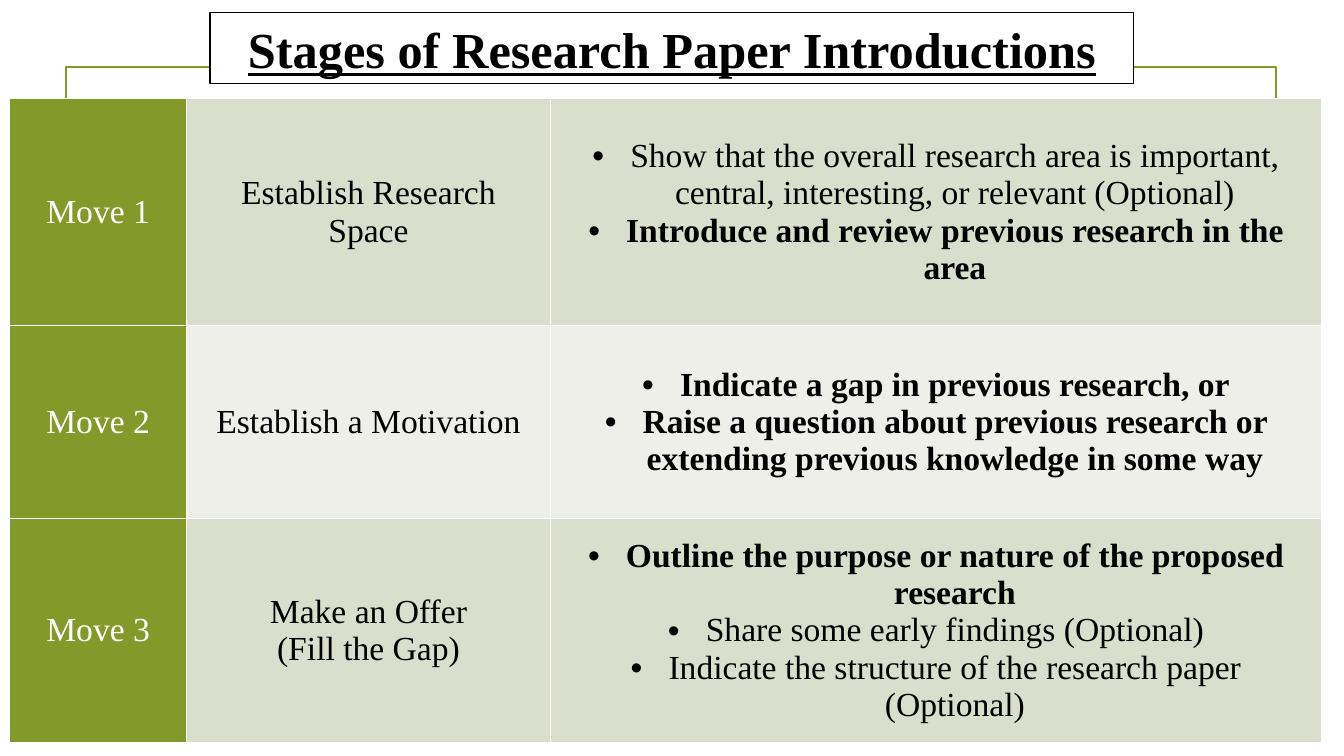
from pptx import Presentation
from pptx import util as u
from pptx.dml.color import RGBColor
from pptx.enum import shapes, text
from pptx.oxml import parse_xml
from pptx.oxml.ns import nsdecls

PX = 9525
FONT = "Times New Roman"
COLORS = {"green": "83992A", "dark": "D9DECD", "light": "EDEFE8",
          "white": "FFFFFF", "black": "000000"}
COLS = [169, 346, 735]
ROWS = [216, 184, 213]
MOVES = [
    ("Move 1", "Establish Research Space", [
        ("Show that the overall research area is important, central, "
         "interesting, or relevant (Optional)", False),
        ("Introduce and review previous research in the area", True)]),
    ("Move 2", "Establish a Motivation", [
        ("Indicate a gap in previous research, or", True),
        ("Raise a question about previous research or extending "
         "previous knowledge in some way", True)]),
    ("Move 3", "Make an Offer\n(Fill the Gap)", [
        ("Outline the purpose or nature of the proposed research", True),
        ("Share some early findings (Optional)", False),
        ("Indicate the structure of the research paper (Optional)", False)]),
]


def px(n):
    return u.Emu(n * PX)


def rgb(name):
    return RGBColor.from_string(COLORS[name])


def write(p, words, color, **fmt):
    p.text = words
    p.alignment = text.PP_ALIGN.CENTER
    for r in p.runs:
        for key, value in {"name": FONT, "size": u.Pt(24), "bold": False, **fmt}.items():
            setattr(r.font, key, value)
        r.font.color.rgb = rgb(color)


def bullet(p):
    pPr = p._p.get_or_add_pPr()
    pPr.set("marL", str(px(36)))
    pPr.set("indent", str(-px(36)))
    pPr.append(parse_xml(f'<a:buFont {nsdecls("a")} typeface="Arial"/>'))
    pPr.append(parse_xml(f'<a:buChar {nsdecls("a")} char="•"/>'))


def add_box(s, box, line, width, fill=None):
    sp = s.shapes.add_shape(shapes.MSO_SHAPE.RECTANGLE, *map(px, box))
    sp.shadow.inherit = False
    if fill:
        sp.fill.solid()
        sp.fill.fore_color.rgb = rgb(fill)
    else:
        sp.fill.background()
    sp.line.color.rgb = rgb(line)
    sp.line.width = u.Pt(width)
    return sp


def add_title(s, box):
    tf = add_box(s, box, "black", 0.75, "white").text_frame
    tf.word_wrap = True
    tf.vertical_anchor = text.MSO_ANCHOR.MIDDLE
    write(tf.paragraphs[0], "Stages of Research Paper Introductions", "black",
          size=u.Pt(36), bold=True, underline=True)


def style_cell(cell, fill):
    tcPr = cell._tc.get_or_add_tcPr()
    for side in "LRTB":
        tcPr.append(parse_xml(
            f'<a:ln{side} {nsdecls("a")} w="{u.Pt(1)}"><a:solidFill>'
            f'<a:srgbClr val="{COLORS["white"]}"/></a:solidFill></a:ln{side}>'))
    cell.fill.solid()
    cell.fill.fore_color.rgb = rgb(fill)
    cell.vertical_anchor = text.MSO_ANCHOR.MIDDLE


def add_moves(s, left, top):
    table = s.shapes.add_table(len(ROWS), len(COLS), px(left), px(top),
                               px(sum(COLS)), px(sum(ROWS))).table
    for col, width in zip(table.columns, COLS):
        col.width = px(width)
    for i, (row, height, (move, stage, steps)) in enumerate(zip(table.rows, ROWS, MOVES)):
        row.height = px(height)
        band = "light" if i % 2 else "dark"
        for cell, fill in zip(row.cells, ("green", band, band)):
            style_cell(cell, fill)
        write(row.cells[0].text_frame.paragraphs[0], move, "white")
        write(row.cells[1].text_frame.paragraphs[0], stage, "black")
        tf = row.cells[2].text_frame
        for j, (step, bold) in enumerate(steps):
            p = tf.add_paragraph() if j else tf.paragraphs[0]
            write(p, step, "black", bold=bold)
            bullet(p)


def main():
    prs = Presentation()
    prs.slide_width, prs.slide_height = px(1280), px(720)
    s = prs.slides.add_slide(prs.slide_layouts[6])
    add_box(s, (63, 64, 1152, 592), "green", 1.25)
    add_moves(s, 9, 94)
    add_title(s, (200, 12, 880, 68))
    prs.save("out.pptx")


if __name__ == "__main__":
    main()
